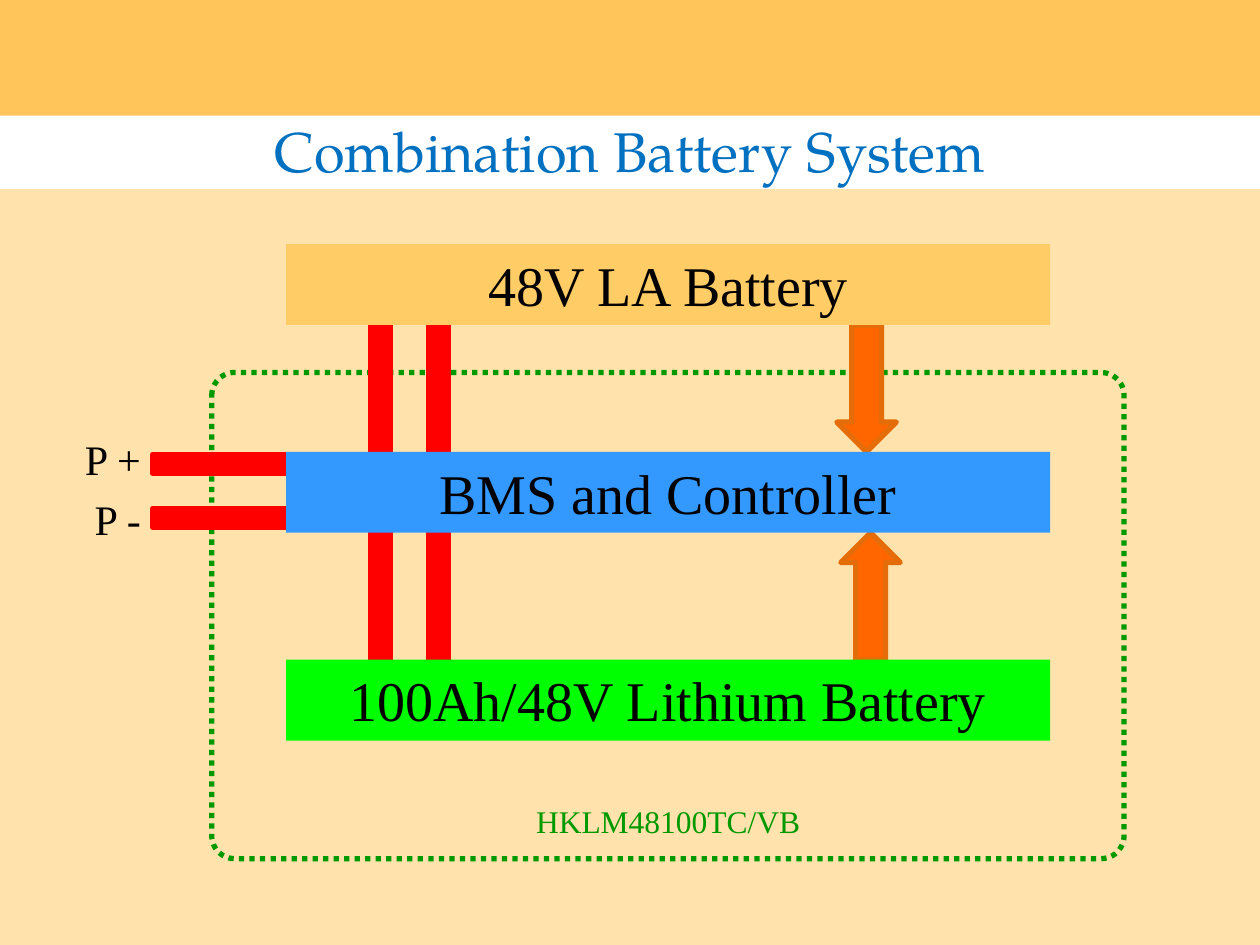
from lxml import etree
from pptx import Presentation
from pptx.dml.color import RGBColor
from pptx.enum import dml, shapes, text
from pptx.oxml import ns
from pptx.util import Cm, Pt

COLORS = {
    "background": "FFC55A", "white": "FFFFFF", "title": "0070C0",
    "black": "000000", "frame": "009900", "cable": "FF0000",
    "arrow": "FF6600", "arrow_edge": "E56D09",
    "lead_acid": "FFCC66", "controller": "3399FF", "lithium": "00FF00",
}
SERIF = "Times New Roman"
SHAPE = shapes.MSO_SHAPE


def rgb(name):
    return RGBColor.from_string(COLORS[name])


def write(frame, words, size, color, font=SERIF, align=text.PP_ALIGN.CENTER):
    frame.text = words
    frame.word_wrap = True
    paragraph = frame.paragraphs[0]
    paragraph.alignment = align
    paragraph.font.size = Pt(size)
    paragraph.font.name = font
    paragraph.font.color.rgb = rgb(color)


def add_block(slide, kind, box, fill=None, edge=None):
    """Add a preset shape; box is left, top, width, height in cm."""
    block = slide.shapes.add_shape(kind, *map(Cm, box))
    block.shadow.inherit = False
    if fill:
        block.fill.solid()
        block.fill.fore_color.rgb = rgb(fill)
    else:
        block.fill.background()
    if edge:
        block.line.color.rgb = rgb(edge)
        block.line.width = Pt(3)
    else:
        block.line.fill.background()
    return block


def add_label(slide, box, words, size, color, align=text.PP_ALIGN.CENTER):
    label = slide.shapes.add_textbox(*map(Cm, box))
    write(label.text_frame, words, size, color, align=align)
    return label


def add_backdrop(slide, width, height):
    slide.background.fill.solid()
    slide.background.fill.fore_color.rgb = rgb("background")
    add_block(slide, SHAPE.RECTANGLE, (0, 2.33, width, 1.48), "white")
    top = 3.07
    veil = add_block(slide, SHAPE.RECTANGLE, (0, top, width, height - top), "white")
    color = veil._element.spPr.find(ns.qn("a:solidFill"))[0]
    etree.SubElement(color, ns.qn("a:alpha"), val="50000")


def add_title(slide, box):
    title = slide.shapes.title
    title.left, title.top, title.width, title.height = map(Cm, box)
    write(title.text_frame, "Combination Battery System", 32, "title", "TeX Gyre Pagella")
    title.text_frame.vertical_anchor = text.MSO_ANCHOR.MIDDLE
    slide.shapes._spTree.append(title._element)  # in front of the backdrop


def add_battery_diagram(slide, left, top):
    def at(x, y, width, height):
        return left + x, top + y, width, height

    unit_left, unit_width, unit_height, pitch = 4.47, 15.4, 1.63, 4.19
    gap = pitch - unit_height

    frame = add_block(slide, SHAPE.ROUNDED_RECTANGLE,
                      at(2.97, 2.59, 18.39, 9.8), edge="frame")
    frame.adjustments[0] = 0.047
    frame.line.dash_style = dml.MSO_LINE.ROUND_DOT

    arrows = [(SHAPE.DOWN_ARROW, 15.57), (SHAPE.UP_ARROW, 15.65)]
    for row, (kind, x) in enumerate(arrows):
        y = row * pitch + unit_height
        add_block(slide, kind, at(x, y, 1.2, gap), "arrow", "arrow_edge")
        for cable_x in (6.17, 7.34):
            add_block(slide, SHAPE.RECTANGLE, at(cable_x, y, 0.4, gap), "cable", "cable")

    for terminal, y, label_y in (("P +", 4.24, 3.7), ("P -", 5.33, 4.9)):
        add_block(slide, SHAPE.RECTANGLE, at(1.78, y, 2.69, 0.38), "cable", "cable")
        label = add_label(slide, at(0, label_y, 2.18, 1.27), terminal, 24, "black",
                          text.PP_ALIGN.RIGHT)
        label.text_frame.margin_right = Cm(0.64)

    units = [("48V LA Battery", "lead_acid"), ("BMS and Controller", "controller"),
             ("100Ah/48V Lithium Battery", "lithium")]
    for row, (words, color) in enumerate(units):
        unit = add_block(slide, SHAPE.RECTANGLE,
                         at(unit_left, row * pitch, unit_width, unit_height), color)
        write(unit.text_frame, words, 32, "black")
        unit.text_frame.vertical_anchor = text.MSO_ANCHOR.TOP

    model_width = 7.4
    model_left = unit_left + (unit_width - model_width) / 2
    add_label(slide, at(model_left, 11.13, model_width, 1.02), "HKLM48100TC/VB", 18, "frame")


def main():
    width, height = 25.4, 19.05
    deck = Presentation()
    deck.slide_width, deck.slide_height = Cm(width), Cm(height)
    slide = deck.slides.add_slide(deck.slide_layouts[5])
    add_backdrop(slide, width, height)
    add_title(slide, (5, 2.22, 15.4, 1.63))
    add_battery_diagram(slide, 1.3, 4.92)
    deck.save("out.pptx")


if __name__ == "__main__":
    main()
